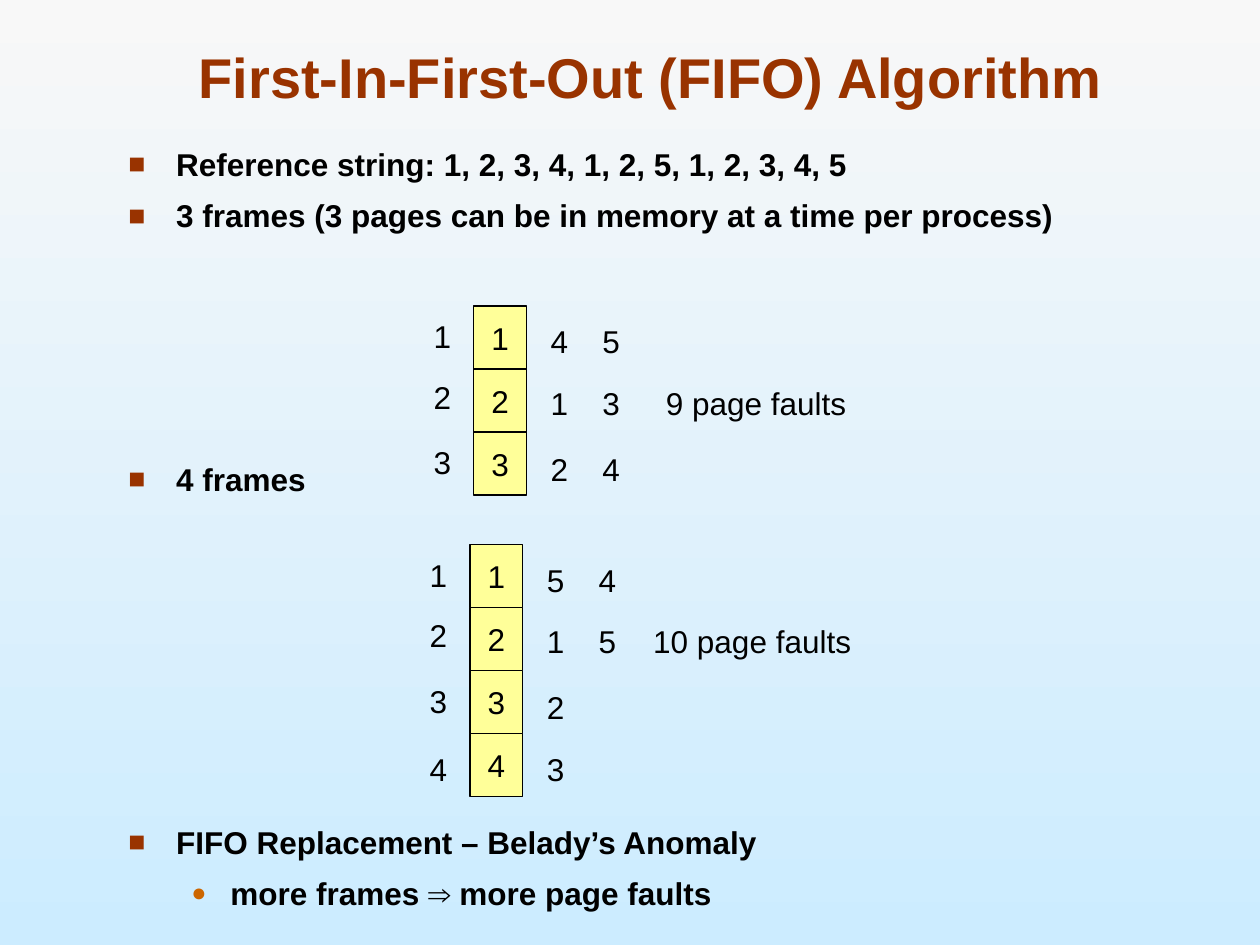
from dataclasses import dataclass
from typing import Any

from lxml.etree import SubElement
from pptx import Presentation
from pptx.dml.color import RGBColor
from pptx.enum.shapes import MSO_SHAPE as Preset
from pptx.enum.text import MSO_ANCHOR as Anchor, MSO_AUTO_SIZE as AutoSize, PP_ALIGN as Align
from pptx.oxml.ns import qn
from pptx.util import Inches, Pt


@dataclass(frozen=True)
class Theme:
    font: str = "Arial"
    title_size: int = 32
    text_size: int = 18
    title: str = "993300"
    text: str = "000000"
    cell: str = "FFFF99"
    sub_bullet: str = "CC6600"
    sky: tuple[str, str] = ("F8F8F8", "CCECFF")


@dataclass(frozen=True)
class Bullet:
    mark: str
    color: str
    percent: int
    level: int
    margin: float
    hanging: float


@dataclass(frozen=True)
class Point:
    text: str
    bullet: Bullet
    before: float


@dataclass(frozen=True)
class FrameTable:
    """A column of page frames, and the pages that later replace each one."""
    left: float
    top: float
    columns: tuple[str, ...]
    faults: str
    faults_width: float


THEME = Theme()
SQUARE = Bullet("■", THEME.title, 90, 0, 0.38, 0.38)
DOT = Bullet("●", THEME.sub_bullet, 80, 1, 0.81, 0.31)
POINTS = (
    Point("Reference string: 1, 2, 3, 4, 1, 2, 5, 1, 2, 3, 4, 5", SQUARE, 7.9),
    Point("3 frames (3 pages can be in memory at a time per process)", SQUARE, 7.9),
    Point("4 frames", SQUARE, 129),
    Point("FIFO Replacement – Belady’s Anomaly", SQUARE, 185.6),
    Point("more frames ⇒ more page faults", DOT, 7.9),
)
TABLES = (
    FrameTable(3.76, 2.43, ("123", "412", "534"), "9 page faults", 1.63),
    FrameTable(3.73, 4.32, ("1234", "5123", "45"), "10 page faults", 1.77),
)
CELL_WIDTH, CELL_HEIGHT = 0.42, 0.5
NUMBER_WIDTH, NUMBER_HEIGHT = 0.34, 0.4
COLUMN_OFFSETS = (-0.42, 0.51, 0.92)
LABEL_ROWS = (0.04, 0.52, 1.04, 1.58)
VALUE_ROWS = (0.08, 0.57, 1.09, 1.58)
FAULTS_CENTER = 2.24


def apply(target: Any, values: dict[str, Any]) -> None:
    for name, value in values.items():
        setattr(target, name, value)


def write(para: Any, text: str, size: int = THEME.text_size,
          color: str = THEME.text, bold: bool = False) -> None:
    span = para.add_run()
    span.text = text
    apply(span.font, {"name": THEME.font, "size": Pt(size), "bold": bold})
    span.font.color.rgb = RGBColor.from_string(color)


def add_box(page: Any, left: float, top: float, width: float, height: float) -> Any:
    return page.shapes.add_textbox(*map(Inches, (left, top, width, height)))


def center_text(box: Any, text: str) -> None:
    apply(box.text_frame, {"word_wrap": False, "vertical_anchor": Anchor.MIDDLE})
    para = box.text_frame.paragraphs[0]
    para.alignment = Align.CENTER
    write(para, text)


def add_label(page: Any, text: str, left: float, top: float,
              width: float = NUMBER_WIDTH) -> None:
    box = add_box(page, left, top, width, NUMBER_HEIGHT)
    box.text_frame.auto_size = AutoSize.SHAPE_TO_FIT_TEXT
    center_text(box, text)


def add_cell(page: Any, text: str, left: float, top: float) -> None:
    cell = page.shapes.add_shape(
        Preset.RECTANGLE, *map(Inches, (left, top, CELL_WIDTH, CELL_HEIGHT)))
    cell.shadow.inherit = False
    cell.fill.solid()
    cell.fill.fore_color.rgb = RGBColor.from_string(THEME.cell)
    cell.line.color.rgb = RGBColor.from_string(THEME.text)
    cell.line.width = Pt(0.75)
    center_text(cell, text)


def add_frame_table(page: Any, table: FrameTable) -> None:
    for row, number in enumerate(table.columns[0]):
        add_cell(page, number, table.left, table.top + row * CELL_HEIGHT)
    row_sets = (LABEL_ROWS, VALUE_ROWS, VALUE_ROWS)
    for numbers, offset, rows in zip(table.columns, COLUMN_OFFSETS, row_sets):
        for number, row in zip(numbers, rows):
            add_label(page, number, table.left + offset, table.top + row)
    add_label(page, table.faults, table.left + FAULTS_CENTER - table.faults_width / 2,
              table.top + VALUE_ROWS[1], table.faults_width)


def set_bullet(para: Any, bullet: Bullet) -> None:
    para.level = bullet.level
    props = para._p.get_or_add_pPr()
    props.set("marL", str(Inches(bullet.margin)))
    props.set("indent", str(-Inches(bullet.hanging)))
    SubElement(SubElement(props, qn("a:buClr")), qn("a:srgbClr")).set("val", bullet.color)
    SubElement(props, qn("a:buSzPct")).set("val", str(bullet.percent * 1000))
    SubElement(props, qn("a:buFont")).set("typeface", THEME.font)
    SubElement(props, qn("a:buChar")).set("char", bullet.mark)


def add_points(page: Any) -> None:
    frame = add_box(page, 0.92, 1.1, 7.69, 6.4).text_frame
    frame.word_wrap = True
    for index, point in enumerate(POINTS):
        para = frame.add_paragraph() if index else frame.paragraphs[0]
        para.space_before = Pt(point.before)
        set_bullet(para, point.bullet)
        write(para, point.text, bold=True)


def add_title(page: Any) -> None:
    frame = add_box(page, 0.75, 0.25, 8.83, 0.67).text_frame
    apply(frame, {"word_wrap": True, "vertical_anchor": Anchor.BOTTOM})
    para = frame.paragraphs[0]
    para.alignment = Align.CENTER
    write(para, "First-In-First-Out (FIFO) Algorithm", THEME.title_size, THEME.title, True)


def paint_background(page: Any) -> None:
    fill = page.background.fill
    fill.gradient()
    fill.gradient_angle = 270
    for stop, color, position in zip(fill.gradient_stops, THEME.sky, (0, 1)):
        stop.color.rgb = RGBColor.from_string(color)
        stop.position = position


def main() -> None:
    deck = Presentation()
    apply(deck, {"slide_width": Inches(10), "slide_height": Inches(7.5)})
    page = deck.slides.add_slide(deck.slide_layouts[6])
    paint_background(page)
    add_title(page)
    add_points(page)
    for table in TABLES:
        add_frame_table(page, table)
    deck.save("out.pptx")


if __name__ == "__main__":
    main()
